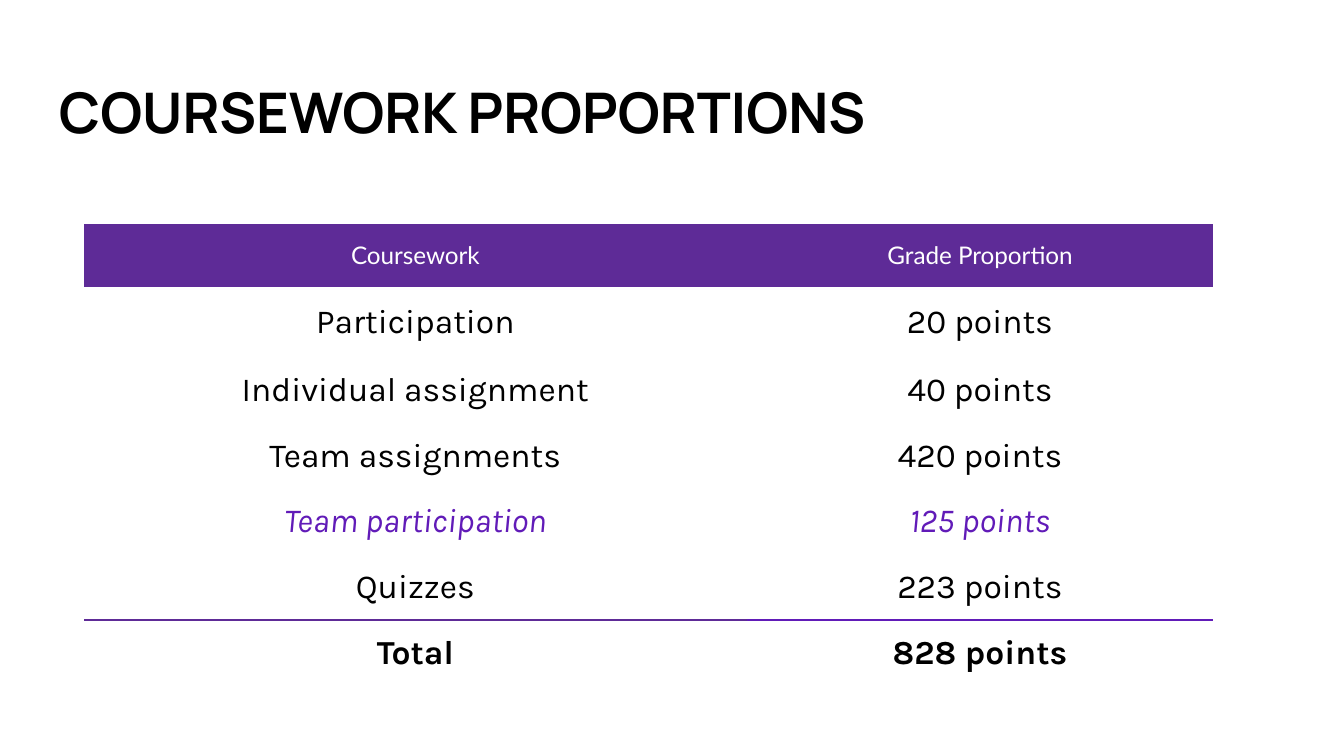
"""Build the coursework proportions slide with its grading table."""

from dataclasses import dataclass

from lxml import etree
from pptx import Presentation
from pptx.dml.color import RGBColor
from pptx.enum.text import MSO_ANCHOR, PP_ALIGN
from pptx.oxml.ns import qn
from pptx.util import Pt

LEFT, CENTER = PP_ALIGN.LEFT, PP_ALIGN.CENTER
MIDDLE, BOTTOM = MSO_ANCHOR.MIDDLE, MSO_ANCHOR.BOTTOM

BLACK = RGBColor(0x00, 0x00, 0x00)
WHITE = RGBColor(0xFF, 0xFF, 0xFF)
HEADER_PURPLE = RGBColor(0x5E, 0x2B, 0x97)
ACCENT_PURPLE = RGBColor(0x61, 0x1B, 0xB8)

COLUMN_WIDTHS = (Pt(355), Pt(250))
RULE_COLORS = (HEADER_PURPLE, ACCENT_PURPLE)
COURSEWORK_MARGIN, GRADE_MARGIN = Pt(6.75), Pt(2.25)
RULE_WIDTH = Pt(0.75)


@dataclass(frozen=True)
class GradeRow:
    coursework: str
    proportion: str
    height: Pt = Pt(33.75)
    font: str = "Karla"
    size: Pt = Pt(18)
    color: RGBColor = BLACK
    bold: bool = False
    italic: bool = False
    header: bool = False
    rule: str = ""


GRADE_ROWS = (
    GradeRow("Coursework", "Grade Proportion", font="Lato", size=Pt(13),
             color=WHITE, header=True),
    GradeRow("Participation", "20 points", height=Pt(38)),
    GradeRow("Individual assignment", "40 points"),
    GradeRow("Team assignments", "420 points"),
    GradeRow("Team participation", "125 points", color=ACCENT_PURPLE, italic=True),
    GradeRow("Quizzes", "223 points", rule="lnB"),
    GradeRow("Total", "828 points", bold=True, rule="lnT"),
)


def write_text(frame, text: str, *, font: str, size: Pt, color: RGBColor,
               bold: bool = False, italic: bool = False, align=LEFT) -> None:
    paragraph = frame.paragraphs[0]
    paragraph.alignment = align
    run = paragraph.add_run()
    run.text = text
    run.font.name = font
    run.font.size = size
    run.font.color.rgb = color
    run.font.bold = bold
    run.font.italic = italic


def set_borders(cell, rule: str, color: RGBColor) -> None:
    properties = cell._tc.get_or_add_tcPr()
    for position, side in enumerate(("lnL", "lnR", "lnT", "lnB")):
        line = etree.Element(qn(f"a:{side}"), w=str(RULE_WIDTH))
        if side == rule:
            fill = etree.SubElement(line, qn("a:solidFill"))
            etree.SubElement(fill, qn("a:srgbClr"), val=str(color))
        else:
            etree.SubElement(line, qn("a:noFill"))
        properties.insert(position, line)


def fill_cell(cell, text: str, row: GradeRow, margin: Pt, rule_color: RGBColor) -> None:
    cell.vertical_anchor = MIDDLE
    cell.margin_left = cell.margin_right = margin
    cell.margin_top = cell.margin_bottom = margin
    if row.header:
        cell.fill.solid()
        cell.fill.fore_color.rgb = HEADER_PURPLE
    else:
        cell.fill.background()
    set_borders(cell, row.rule, rule_color)
    write_text(cell.text_frame, text, font=row.font, size=row.size, color=row.color,
               bold=row.bold, italic=row.italic, align=CENTER)


def add_title(slide, text: str) -> None:
    frame = slide.shapes.add_textbox(Pt(24.5), Pt(35.5), Pt(671), Pt(49)).text_frame
    frame.word_wrap = True
    frame.vertical_anchor = BOTTOM
    frame.margin_left = frame.margin_right = Pt(7.2)
    frame.margin_top = frame.margin_bottom = Pt(7.2)
    write_text(frame, text, font="Manrope", size=Pt(30), color=BLACK, bold=True)


def add_grade_table(slide, rows: tuple[GradeRow, ...]) -> None:
    table = slide.shapes.add_table(
        len(rows), len(COLUMN_WIDTHS), Pt(45), Pt(120),
        sum(COLUMN_WIDTHS), sum(row.height for row in rows)).table
    table.horz_banding = False
    table.first_row = False
    for column, width in zip(table.columns, COLUMN_WIDTHS):
        column.width = width
    for index, row in enumerate(rows):
        table.rows[index].height = row.height
        coursework_margin = GRADE_MARGIN if row.header else COURSEWORK_MARGIN
        margins = (coursework_margin, GRADE_MARGIN)
        texts = (row.coursework, row.proportion)
        for cell, text, margin, color in zip(table.rows[index].cells, texts,
                                             margins, RULE_COLORS):
            fill_cell(cell, text, row, margin, color)


def main() -> None:
    deck = Presentation()
    deck.slide_width, deck.slide_height = Pt(720), Pt(405)
    slide = deck.slides.add_slide(deck.slide_layouts[6])
    add_title(slide, "COURSEWORK PROPORTIONS")
    add_grade_table(slide, GRADE_ROWS)
    deck.save("out.pptx")


if __name__ == "__main__":
    main()
